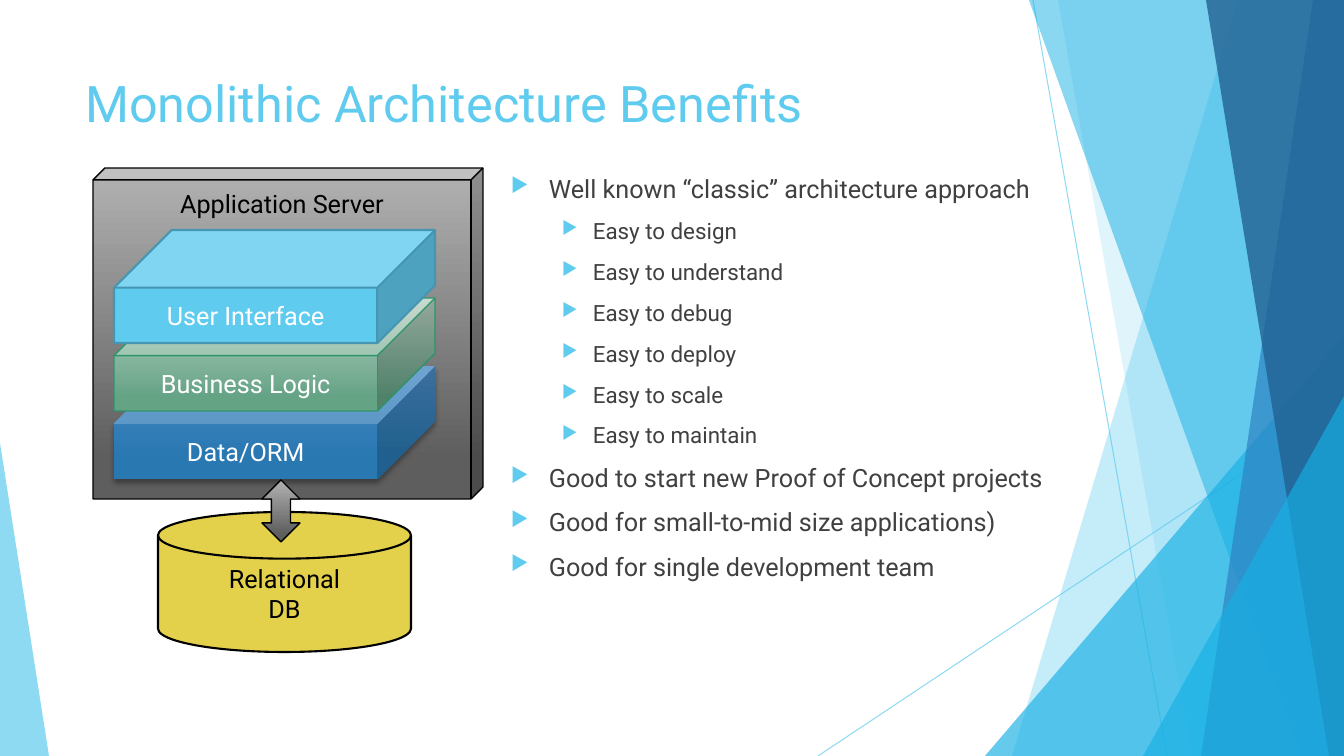
from lxml import etree
from pptx import Presentation
from pptx.dml.color import RGBColor
from pptx.enum.shapes import MSO_CONNECTOR, MSO_SHAPE
from pptx.enum.text import MSO_ANCHOR, MSO_AUTO_SIZE, PP_ALIGN
from pptx.oxml.ns import qn
from pptx.util import Pt

PX = 914400 / 100.8
W, H = 1344, 756
FONT = "Roboto"

SKY = RGBColor(0x5F, 0xCB, 0xEF)
CYAN = RGBColor(0x17, 0xB0, 0xE4)
BLUE = RGBColor(0x2E, 0x83, 0xC3)
NAVY = RGBColor(0x22, 0x62, 0x92)
SKY_EDGE = RGBColor(0x46, 0x96, 0xB1)
GREEN_EDGE = RGBColor(0x2E, 0x94, 0x6B)
YELLOW = RGBColor(0xE3, 0xD1, 0x4B)
TEXT = RGBColor(0x40, 0x40, 0x40)
BLACK = RGBColor(0, 0, 0)
WHITE = RGBColor(0xFF, 0xFF, 0xFF)
# Gradients: top colour, bottom colour, where the bottom colour is reached
GRAY = (RGBColor(0xB2, 0xB2, 0xB2), RGBColor(0x5E, 0x5E, 0x5E), 0.88)
GREEN = (RGBColor(0xBA, 0xD1, 0xC4), RGBColor(0x65, 0xA3, 0x85), 0.88)
DATA_BLUE = (RGBColor(0x4A, 0x8B, 0xC6), RGBColor(0x2A, 0x78, 0xB2), 0.78)

# Content
TITLE = "Monolithic Architecture Benefits"
BENEFITS = [
    ("Well known “classic” architecture approach",
     ["Easy to design", "Easy to understand", "Easy to debug",
      "Easy to deploy", "Easy to scale", "Easy to maintain"]),
    ("Good to start new Proof of Concept projects", []),
    ("Good for small-to-mid size applications)", []),
    ("Good for single development team", []),
]
# Tiers from bottom to top: label, fill, edge colour, edge width
TIERS = [
    ("Data/ORM", DATA_BLUE, None, 0),
    ("Business Logic", GREEN, GREEN_EDGE, 1),
    ("User Interface", SKY, SKY_EDGE, 1.5),
]
# Backdrop: thin lines, bands (left edge at top and bottom), triangles
RAYS = [(1033, 0, 1167, H), (W, 406, 818, H)]
FACETS = [
    ("band", (1238, 1012), SKY, 36),
    ("band", (1058, 1192), SKY, 20),
    ("triangle", (985, 336, 359, 420, 1), CYAN, 66),
    ("band", (1029, 1301), CYAN, 50),
    ("band", (1313, 1201), BLUE, 70),
    ("band", (1206, 1329), NAVY, 80),
    ("triangle", (1143, 396, 201, 360, 1), CYAN, 66),
    ("triangle", (0, 443, 49, 313, 0), SKY, 70),
]


def emu(*lengths):
    return [round(n * PX) for n in lengths]


def sub(parent, tag, **attrs):
    return etree.SubElement(parent, qn(tag), {k: str(v) for k, v in attrs.items()})


def set_alpha(shape, percent):
    for color in shape._element.spPr.iter(qn("a:srgbClr")):
        sub(color, "a:alpha", val=percent * 1000)


def paint(shape, fill, edge=None, edge_pt=0):
    shape.shadow.inherit = False
    if isinstance(fill, RGBColor):
        shape.fill.solid()
        shape.fill.fore_color.rgb = fill
    else:
        shape.fill.gradient()
        shape.fill.gradient_angle = 270
        first, last = shape.fill.gradient_stops
        first.color.rgb, last.color.rgb, last.position = fill
        first.position = 0
    if edge is None:
        shape.line.fill.background()
    else:
        shape.line.color.rgb = edge
        shape.line.width = Pt(edge_pt)


def write(paragraph, text, size, color, align=PP_ALIGN.LEFT):
    paragraph.alignment = align
    run = paragraph.add_run()
    run.text = text
    run.font.name, run.font.size, run.font.color.rgb = FONT, Pt(size), color


def add_part(kind, box, fill, edge=None, edge_pt=0, lines=(), color=BLACK, adj=None):
    shape = shapes.add_shape(kind, *emu(*box))
    paint(shape, fill, edge, edge_pt)
    if adj is not None:
        shape.adjustments[0] = adj
    frame = shape.text_frame
    frame.vertical_anchor = MSO_ANCHOR.MIDDLE
    for i, line in enumerate(lines):
        paragraph = frame.add_paragraph() if i else frame.paragraphs[0]
        write(paragraph, line, 18, color, PP_ALIGN.CENTER)
    return shape


def add_bullet(paragraph, text, level):
    size, margin, hang = [(18, 38, 38), (16, 82, 31)][level]
    write(paragraph, text, size, TEXT)
    paragraph.level = level
    paragraph.space_before = Pt(10)
    props = paragraph._p.get_or_add_pPr()
    margin, hang = emu(margin, hang)
    props.set("marL", str(margin))
    props.set("indent", str(-hang))
    sub(sub(props, "a:buClr"), "a:srgbClr", val=SKY)
    sub(props, "a:buSzPct", val=80000)
    sub(props, "a:buChar", char="▶")


prs = Presentation()
prs.slide_width, prs.slide_height = emu(W, H)
slide = prs.slides.add_slide(prs.slide_layouts[5])
shapes = slide.shapes

# Backdrop
for ray in RAYS:
    line = shapes.add_connector(MSO_CONNECTOR.STRAIGHT, *emu(*ray))
    line.line.color.rgb, line.line.width = SKY, Pt(0.75)
    set_alpha(line, 70)
    sub(line._element.spPr, "a:effectLst")
for kind, place, color, opacity in FACETS:
    if kind == "band":
        top_x, bottom_x = place
        builder = shapes.build_freeform(top_x, 0, scale=PX)
        builder.add_line_segments([(W, 0), (W, H), (bottom_x, H)], close=True)
        facet = builder.convert_to_shape()
        paint(facet, color)
    else:
        facet = add_part(MSO_SHAPE.ISOSCELES_TRIANGLE, place[:4], color, adj=place[4])
    set_alpha(facet, opacity)

# Title
title = shapes.title
title.left, title.top, title.width, title.height = emu(75, 67, 947, 145)
title.text_frame.vertical_anchor = MSO_ANCHOR.TOP
title.text_frame.auto_size = MSO_AUTO_SIZE.NONE
write(title.text_frame.paragraphs[0], TITLE, 36, SKY)

# Benefits list
body = shapes.add_textbox(*emu(501, 168, 664, 484)).text_frame
body.word_wrap = True
items = [(text, level) for point, details in BENEFITS
         for text, level in [(point, 0)] + [(d, 1) for d in details]]
for i, (text, level) in enumerate(items):
    add_bullet(body.add_paragraph() if i else body.paragraphs[0], text, level)

# Application server and database
server = add_part(MSO_SHAPE.CUBE, (93, 168, 390, 331), GRAY, BLACK, 1,
                  ["Application Server"], adj=0.036)
server.text_frame.vertical_anchor = MSO_ANCHOR.TOP
server.text_frame.margin_top = emu(8)[0]
add_part(MSO_SHAPE.FLOWCHART_MAGNETIC_DISK, (158, 512, 253, 140), YELLOW, BLACK, 1.5,
         ["Relational", "DB"])

# Stacked tiers, each one step higher; the lowest casts a shadow
for i, (label, fill, edge, edge_pt) in enumerate(TIERS):
    tier = add_part(MSO_SHAPE.CUBE, (114, 366 - 68 * i, 321, 113), fill, edge, edge_pt,
                    [label], WHITE, adj=0.51)
    if i == 0:
        effects = tier._element.spPr.find(qn("a:effectLst"))
        shadow = sub(effects, "a:outerShdw", blurRad=Pt(4), dist=Pt(3),
                     dir=5400000, rotWithShape=0)
        sub(sub(shadow, "a:srgbClr", val=BLACK), "a:alpha", val=35000)

# Link between data tier and database
add_part(MSO_SHAPE.UP_DOWN_ARROW, (262, 480, 38, 62), GRAY, BLACK, 1)

prs.save("out.pptx")
